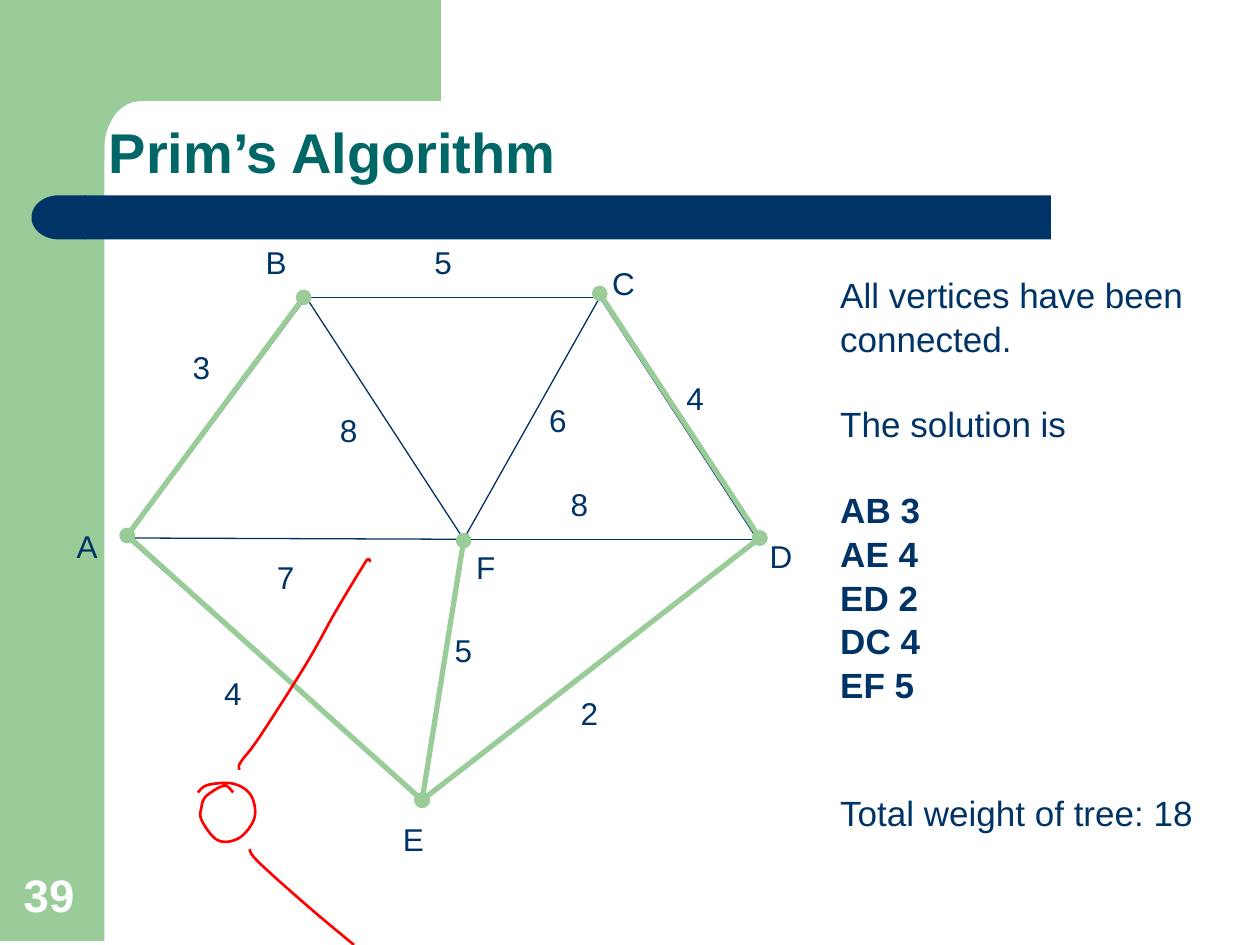
from dataclasses import dataclass

from lxml import etree
from pptx import Presentation
from pptx import util as u
from pptx.dml.color import RGBColor
from pptx.enum import shapes, text
from pptx.oxml.ns import qn


@dataclass(frozen=True)
class Theme:
    """Colours, font and type sizes of the slide."""
    navy: str = "003366"
    green: str = "99CC99"
    teal: str = "006666"
    white: str = "FFFFFF"
    red: str = "FF0000"
    font: str = "Arial"
    title: int = 32
    page: int = 26
    body: int = 20
    label: int = 18


@dataclass(frozen=True)
class Box:
    """A region in inches whose parts are placed from its top left corner."""
    x: float
    y: float
    w: float
    h: float

    def at(self, x, y):
        """Return the slide position of a point in the box."""
        return u.Inches(self.x + x), u.Inches(self.y + y)

    def sub(self, x, y, w, h):
        """Return a smaller box inside this one."""
        return Box(self.x + x, self.y + y, w, h)

    def rect(self):
        """Return left, top, width and height as lengths."""
        return (*self.at(0, 0), u.Inches(self.w), u.Inches(self.h))


THEME = Theme()

NODES = {"A": (0.51, 2.42), "B": (1.93, 0.51), "C": (4.26, 0.51),
         "D": (5.51, 2.43), "E": (2.85, 4.51), "F": (3.18, 2.43)}
TIPS = {"A": (0.51, 2.4), "B": (1.91, 0.51), "C": (4.26, 0.48),
        "D": (5.53, 2.42), "E": (2.85, 4.5), "F": (3.18, 2.44)}
NAMES = {"A": (0.01, 2.28), "B": (1.51, 0.03), "C": (4.26, 0.2),
         "D": (5.51, 2.36), "E": (2.6, 4.61), "F": (3.18, 2.45)}
EDGES = {"AB": ("3", 0.93, 0.86), "BC": ("5", 2.85, 0.03),
         "CD": ("4", 4.85, 1.11), "AF": ("7", 1.6, 2.53),
         "FD": ("8", 3.93, 1.95), "BF": ("8", 2.1, 1.36),
         "FC": ("6", 3.76, 1.28), "AE": ("4", 1.18, 3.45),
         "EF": ("5", 3.01, 3.11), "ED": ("2", 4.01, 3.61)}
TREE = ("AB", "AE", "ED", "CD", "EF")

NOTES = [("All vertices have been", False, 0), ("connected.", False, 0),
         ("The solution is", False, 1), ("AB 3", True, 1),
         ("AE 4", True, 0), ("ED 2", True, 0), ("DC 4", True, 0),
         ("EF 5", True, 0), ("Total weight of tree: 18", False, 2)]

STROKES = [
    [(0.35, 1.89), (0.3, 1.84), (0.24, 1.85), (0.16, 1.9), (0.12, 1.94),
     (0.1, 2), (0.1, 2.11), (0.23, 2.27), (0.4, 2.25), (0.52, 2.09),
     (0.49, 1.91), (0.35, 1.82), (0.15, 1.83), (0.07, 1.89)],
    [(0.4, 1.71), (0.41, 1.65), (0.56, 1.45), (0.93, 0.87),
     (1.16, 0.46), (1.37, 0.11), (1.42, 0.04), (1.44, 0.06)],
    [(0.48, 2.34), (0.55, 2.44), (0.94, 2.79), (1.31, 3.1)],
]


def tint(name):
    """Return the colour for a hex value."""
    return RGBColor.from_string(name)


def paint(shape, hue):
    """Fill a shape with one flat colour."""
    shape.shadow.inherit = False
    shape.fill.solid()
    shape.fill.fore_color.rgb = tint(hue)
    shape.line.fill.background()


def block(slide, kind, box, hue):
    """Add a flat preset shape and return it."""
    shape = slide.shapes.add_shape(kind, *box.rect())
    paint(shape, hue)
    return shape


def write(slide, box, lines, size, hue, align=text.PP_ALIGN.LEFT,
          anchor=text.MSO_ANCHOR.TOP):
    """Add a text box from lines of words, weight and space before."""
    frame = slide.shapes.add_textbox(*box.rect()).text_frame
    frame.word_wrap = True
    frame.vertical_anchor = anchor
    for i, (words, bold, space) in enumerate(lines):
        para = frame.add_paragraph() if i else frame.paragraphs[0]
        para.alignment = align
        if i:
            para.space_before = u.Pt(space)
        run = para.add_run()
        run.text = words
        font = run.font
        font.name, font.size, font.bold = THEME.font, u.Pt(size), bold
        font.color.rgb = tint(hue)


def link(slide, start, end, hue, width, dots=False):
    """Add a straight line, with round ends if asked."""
    line = slide.shapes.add_connector(
        shapes.MSO_CONNECTOR.STRAIGHT, *start, *end)
    line.line.color.rgb = tint(hue)
    line.line.width = u.Pt(width)
    if dots:
        for tag in ("a:headEnd", "a:tailEnd"):
            etree.SubElement(line.line._get_or_add_ln(), qn(tag), type="oval")
    etree.SubElement(line._element.spPr, qn("a:effectLst"))


def trace(slide, box, points, close):
    """Add an outline through points of a box and return it."""
    spots = [box.at(*p) for p in points]
    path = slide.shapes.build_freeform(*spots[0], scale=1.0)
    path.add_line_segments(spots[1:], close=close)
    shape = path.convert_to_shape()
    shape.shadow.inherit = False
    return shape


def smooth(points, steps=8):
    """Return points along a Catmull-Rom curve through the given ones."""
    ends = [points[0], *points, points[-1]]
    curve = [points[0]]
    for a, b, c, d in zip(ends, ends[1:], ends[2:], ends[3:]):
        for t in (n / steps for n in range(1, steps + 1)):
            curve.append(tuple(
                (2 * q + (r - p) * t + (2 * p - 5 * q + 4 * r - s) * t ** 2
                 + (3 * q - p - 3 * r + s) * t ** 3) / 2
                for p, q, r, s in zip(a, b, c, d)))
    return curve


def frame(slide, box):
    """Draw the green side and corner and the navy bar."""
    kind = shapes.MSO_SHAPE
    block(slide, kind.RECTANGLE, box.sub(0, 0, 0.83, 7.47), THEME.green)
    bend = smooth([(1.14, 0.8), (1.03, 0.82), (0.93, 0.89),
                   (0.86, 1.01), (0.83, 1.13), (0.83, 1.25)])
    edge = [(0.5, 0), (3.5, 0), (3.5, 0.8), *bend, (0.5, 1.25)]
    paint(trace(slide, box, edge, True), THEME.green)
    block(slide, kind.RECTANGLE, box.sub(0.67, 1.55, 7.67, 0.35), THEME.navy)
    cap = block(slide, kind.FLOWCHART_DELAY,
                box.sub(0.25, 1.55, 0.43, 0.35), THEME.navy)
    cap.rotation = 180


def graph(slide, box):
    """Draw the weighted graph with its spanning tree on top."""
    for a, b in EDGES:
        link(slide, box.at(*NODES[a]), box.at(*NODES[b]), THEME.navy, 0.75)
    marks = [(name, *spot) for name, spot in NAMES.items()]
    for words, x, y in marks + list(EDGES.values()):
        write(slide, box.sub(x, y, 0.5, 0.4), [(words, False, 0)],
              THEME.label, THEME.navy)
    for a, b in TREE:
        link(slide, box.at(*TIPS[a]), box.at(*TIPS[b]), THEME.green, 3, True)


def notes(slide, box):
    """Write the solution, with gaps counted in lines of 24 points."""
    lines = [(words, bold, 1 + 24 * gap) for words, bold, gap in NOTES]
    write(slide, box, lines, THEME.body, THEME.navy)


def heads(slide, box):
    """Write the title and the page number."""
    write(slide, box.sub(0.64, 0.88, 4, 0.64),
          [("Prim’s Algorithm", True, 0)], THEME.title, THEME.teal,
          align=text.PP_ALIGN.CENTER)
    write(slide, box.sub(0.09, 6.83, 0.64, 0.53), [("39", True, 0)],
          THEME.page, THEME.white, anchor=text.MSO_ANCHOR.BOTTOM)


def ink(slide, box):
    """Draw the red pen strokes."""
    for points in STROKES:
        shape = trace(slide, box, smooth(points), False)
        shape.fill.background()
        shape.line.color.rgb = tint(THEME.red)
        shape.line.width = u.Pt(1.5)


def main():
    """Build the slide and save it."""
    deck = Presentation()
    deck.slide_width, deck.slide_height = u.Inches(10), u.Inches(7.5)
    slide = deck.slides.add_slide(deck.slide_layouts[6])
    page = Box(0, 0, 10, 7.5)
    frame(slide, page)
    graph(slide, page.sub(0.5, 1.85, 6, 5))
    notes(slide, page.sub(6.57, 2.12, 3.15, 5.1))
    heads(slide, page)
    ink(slide, page.sub(1.5, 4.4, 1.5, 3.1))
    deck.save("out.pptx")


if __name__ == "__main__":
    main()
